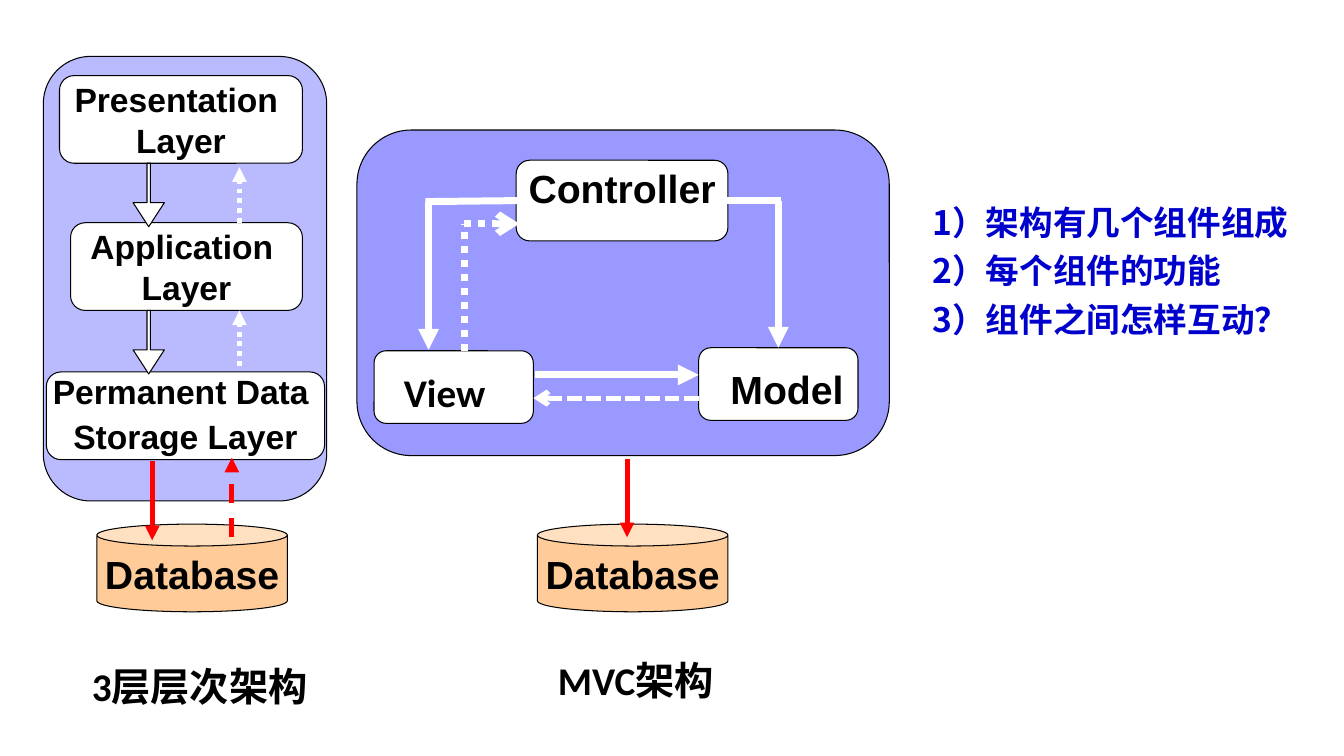
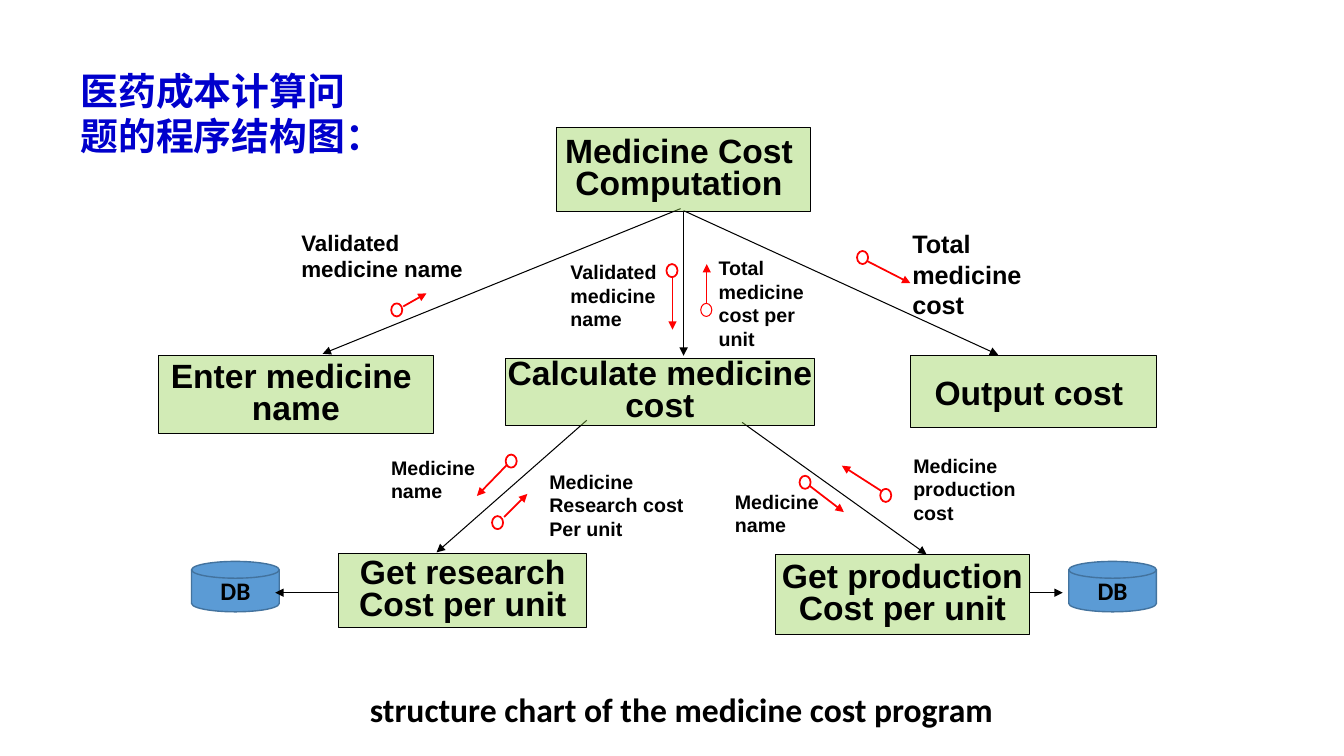
from lxml import etree
from pptx import Presentation
from pptx.dml.color import RGBColor
from pptx.enum.dml import MSO_LINE
from pptx.enum.shapes import MSO_CONNECTOR, MSO_SHAPE
from pptx.enum.text import MSO_ANCHOR, PP_ALIGN
from pptx.oxml.ns import qn
from pptx.util import Inches, Pt

ROUNDED, RECT, CAN = MSO_SHAPE.ROUNDED_RECTANGLE, MSO_SHAPE.RECTANGLE, MSO_SHAPE.CAN
DOWN, OVAL, DISK = MSO_SHAPE.DOWN_ARROW, MSO_SHAPE.OVAL, MSO_SHAPE.FLOWCHART_MAGNETIC_DISK
DOTS, SHORT_DASH, DASH = MSO_LINE.ROUND_DOT, MSO_LINE.SQUARE_DOT, MSO_LINE.DASH
LEFT, CENTER = PP_ALIGN.LEFT, PP_ALIGN.CENTER
TOP, MIDDLE = MSO_ANCHOR.TOP, MSO_ANCHOR.MIDDLE


class Theme:
    black, white, red, blue = "000000", "FFFFFF", "FF0000", "0000CC"
    mvc_panel, layer_panel = ("0000FF", 40), ("0000FF", 27)  # colour, opacity in %
    module = ("92D050", 41)
    store, disk, disk_edge = "FFCC99", "5B9BD5", "43739E"
    heading, body, cjk = "Arial", "Calibri", "Noto Sans CJK SC"
    large, title, normal, medium, note, small = 28, 27, 24, 18, 16, 14
    thin, flow, strong, wide = 0.75, 1.25, 3.5, 5


# Grid of 133.3 columns by 75 rows
CELL = Inches(0.1)
COLUMNS, ROWS = 133.3, 75


def block(slide, kind, box, lines=(), size=Theme.normal, font=Theme.heading, color=Theme.black,
          fill=None, edge=Theme.black, weight=Theme.thin, align=CENTER, anchor=MIDDLE,
          wrap=False, insets=(1, 0.5), spacing=None, gap=0):
    """Place a preset shape, or a text box if kind is None; box is in grid cells."""
    place = [round(v * CELL) for v in box]
    if kind is None:
        shape = slide.shapes.add_textbox(*place)
    else:
        shape = slide.shapes.add_shape(kind, *place)
        shape.shadow.inherit = False
        shape.line.color.rgb = RGBColor.from_string(edge)
        shape.line.width = Pt(weight)
        if fill is None:
            shape.fill.background()
        else:
            tone, opacity = (fill, 100) if isinstance(fill, str) else fill
            shape.fill.solid()
            shape.fill.fore_color.rgb = RGBColor.from_string(tone)
            if opacity < 100:
                clr = shape.fill._xPr.find(".//" + qn("a:srgbClr"))
                etree.SubElement(clr, qn("a:alpha"), val=str(opacity * 1000))
    frame = shape.text_frame
    frame.word_wrap, frame.vertical_anchor = wrap, anchor
    frame.margin_left, frame.margin_right = round(insets[0] * CELL), round(insets[-2] * CELL)
    frame.margin_top = frame.margin_bottom = round(insets[-1] * CELL)
    for i, line in enumerate(lines):
        para = frame.paragraphs[0] if i == 0 else frame.add_paragraph()
        para.alignment = align
        if spacing:
            para.line_spacing = spacing
        if i and gap:
            para.space_before = Pt(gap)
        run = para.add_run()
        run.text = line
        run.font.size, run.font.bold, run.font.name = Pt(size), True, font
        run.font.color.rgb = RGBColor.from_string(color)
        etree.SubElement(run._r.get_or_add_rPr(), qn("a:ea"), typeface=Theme.cjk)
    return shape


def link(slide, start, end, color=Theme.black, weight=Theme.thin, dash=None, head="triangle"):
    """Draw a straight line between two grid points, with an optional head at its end."""
    line = slide.shapes.add_connector(
        MSO_CONNECTOR.STRAIGHT, *[round(v * CELL) for v in (*start, *end)])
    line.line.color.rgb = RGBColor.from_string(color)
    line.line.width = Pt(weight)
    if dash:
        line.line.dash_style = dash
    if head:
        etree.SubElement(line.line._get_or_add_ln(), qn("a:tailEnd"), type=head)
    etree.SubElement(line._element.spPr, qn("a:effectLst"))


prs = Presentation()
prs.slide_width, prs.slide_height = round(COLUMNS * CELL), ROWS * CELL
blank = prs.slide_layouts[6]

# Slide 1: layered and MVC architectures
architectures = prs.slides.add_slide(blank)
block(architectures, ROUNDED, (35.4, 12.9, 52.8, 32.3), fill=Theme.mvc_panel)
block(architectures, ROUNDED, (4.3, 5.6, 28.1, 44.1), fill=Theme.layer_panel)

# Three layers
for left, top, width, lines, spacing, gap in (
    (5.9, 7.5, 24.1, ("Presentation ", "Layer"), None, 0),
    (7, 22.1, 23, ("Application ", "Layer"), None, 0),
    (4.6, 36.9, 27.6, ("Permanent Data ", "Storage Layer"), 0.9, 6),
):
    block(architectures, ROUNDED, (left, top, width, 8.7), lines, fill=Theme.white,
          spacing=spacing, gap=gap)
for top in (16.2, 30.8):
    request = block(architectures, DOWN, (13.2, top, 3.1, 6.3), fill=Theme.white)
    request.adjustments[0], request.adjustments[1] = 0.11, 0.77
for bottom in (22.1, 36.3):
    link(architectures, (23.75, bottom), (23.75, bottom - 5.5), Theme.white, Theme.strong, DOTS)

# Databases and their access
for left in (9.6, 53.3):
    block(architectures, CAN, (left, 52, 18.9, 8.7), ["Database"], Theme.large, fill=Theme.store)
for start, end, dash in (
    ((15.1, 45.7), (15.1, 53.6), None),
    ((23, 53.3), (23, 45.4), DASH),
    ((62.2, 45.5), (62.2, 53.3), None),
):
    link(architectures, start, end, Theme.red, Theme.strong, dash)

# Model, controller and view
for box, label, font, align, anchor, insets, spacing in (
    ((69.3, 34.5, 15.8, 7.2), "Model", Theme.heading, LEFT, MIDDLE, (2.8, 0, 0.3), 1.2),
    ((51.2, 15.9, 21, 8), "Controller", Theme.heading, CENTER, TOP, (0.7, 0), None),
    ((37.1, 34.8, 15.8, 7.2), "View", Theme.body, LEFT, MIDDLE, (2.6, 0, 0.3), 1.2),
):
    block(architectures, ROUNDED, box, [label], Theme.large, font, fill=Theme.white,
          align=align, anchor=anchor, wrap=True, insets=insets, spacing=spacing)
for start, end, weight, dash, head in (
    ((53.1, 37.2), (69.3, 37.2), Theme.wide, None, "triangle"),
    ((77.5, 19.9), (70.7, 19.9), Theme.wide, None, None),
    ((77.2, 19.9), (77.2, 34.5), Theme.wide, None, "triangle"),
    ((42.2, 20), (51.6, 19.9), Theme.wide, None, None),
    ((42.5, 20), (42.5, 34.7), Theme.wide, None, "triangle"),
    ((69.3, 39.5), (52.9, 39.5), Theme.strong, SHORT_DASH, "arrow"),
    ((46.1, 34.8), (46.1, 22.2), Theme.wide, DOTS, None),
    ((46, 22.2), (51.5, 22.2), Theme.wide, DOTS, "arrow"),
):
    link(architectures, start, end, Theme.white, weight, dash, head)

# Captions and questions
block(architectures, None, (4.6, 65.2, 30.4, 5.7), ["3层层次架构"], Theme.large, Theme.body,
      wrap=True)
block(architectures, None, (54.2, 64.6, 17.7, 5.7), ["MVC架构"], Theme.large, Theme.body,
      anchor=TOP, wrap=True)
block(architectures, None, (91.5, 19.5, 38.8, 14.8),
      ("1）架构有几个组件组成", "2）每个组件的功能", "3）组件之间怎样互动？"),
      font=Theme.cjk, color=Theme.blue, align=LEFT, anchor=TOP, wrap=True, gap=6)

# Slide 2: structure chart
chart = prs.slides.add_slide(blank)
block(chart, None, (7, 6.2, 31.8, 10.1), ("医药成本计算问", "题的程序结构图："), Theme.title,
      Theme.cjk, Theme.blue, align=LEFT, anchor=TOP, wrap=True)
block(chart, None, (22.6, 68.6, 90, 4.3), ["structure chart of the medicine cost program"],
      font=Theme.body, anchor=TOP, wrap=True, spacing=0.8)

# Calls between modules, and database access
for start, end in (
    ((67.5, 20.7), (32, 35.1)),
    ((67.8, 20.9), (67.8, 35.3)),
    ((67.8, 20.9), (99, 35.2)),
    ((58.2, 41.7), (43.3, 54.8)),
    ((73.6, 41.9), (91.9, 55)),
):
    link(chart, start, end)

# Modules
for box, lines in (
    ((55.2, 12.7, 25.2, 8.3), ("Medicine Cost ", "Computation ")),
    ((15.7, 35.3, 27.3, 7.7), ("Enter medicine ", "name")),
    ((50.1, 35.6, 30.7, 6.6), ("Calculate medicine", "cost")),
    ((90.3, 35.3, 24.4, 7.1), ("Output cost ",)),
    ((33.6, 54.9, 24.6, 7.4), ("Get research", "Cost per unit")),
    ((76.9, 55, 25.2, 8), ("Get production", "Cost per unit")),
):
    block(chart, RECT, box, lines, fill=Theme.module, spacing=0.8 if len(lines) > 1 else None)

# Databases
for left, start, end in ((19, 33.6, 27.3), (106, 102.1, 105.4)):
    block(chart, DISK, (left, 55.7, 8.7, 5), ["DB"], Theme.medium, Theme.body,
          fill=Theme.disk, edge=Theme.disk_edge, weight=1, wrap=True)
    link(chart, (start, 58.8), (end, 58.8))

# Data passed between modules: label, then circle centre and arrow
for box, lines, size, circle, start, end, weight in (
    ((28.9, 22.2, 19.4, 6.4), ["Validated medicine name"], Theme.note,
     (39.35, 30.75), (40, 30.4), (42.3, 29.1), Theme.flow),
    ((53.5, 46.1, 15.7, 8.1), ["Medicine", "Research cost", "Per unit"], Theme.small,
     (49.35, 51.85), (50, 51.3), (52.3, 49), Theme.flow),
    ((70.3, 24.9, 11.6, 10.4), ["Total medicine cost per unit"], Theme.small,
     (70.05, 30.75), (70.1, 30.1), (70.1, 26.2), Theme.thin),
    ((71.9, 48.1, 11.5, 5.7), ["Medicine name"], Theme.small,
     (79.85, 47.85), (80.3, 48.2), (83.7, 50.8), Theme.flow),
    ((89.5, 22.2, 13.7, 10), ["Total medicine cost"], Theme.medium,
     (85.55, 25.55), (86, 25.9), (90.3, 28.1), Theme.flow),
    ((55.6, 25.3, 12.6, 8.1), ["Validated medicine name"], Theme.small,
     (66.65, 26.85), (66.7, 27.5), (66.7, 32.7), Theme.flow),
    ((89.6, 44.5, 12.6, 8.1), ["Medicine production cost"], Theme.small,
     (87.85, 49.15), (87.4, 48.7), (83.5, 46.2), Theme.flow),
    ((37.8, 44.7, 11.5, 5.7), ["Medicine name"], Theme.small,
     (50.7, 45.75), (50.3, 46.1), (47.3, 49.2), Theme.flow),
):
    block(chart, None, box, lines, size, align=LEFT, anchor=TOP, wrap=True)
    block(chart, OVAL, (circle[0] - 0.55, circle[1] - 0.65, 1.1, 1.3), edge=Theme.red,
          weight=weight)
    link(chart, start, end, Theme.red, weight)

prs.save("out.pptx")
